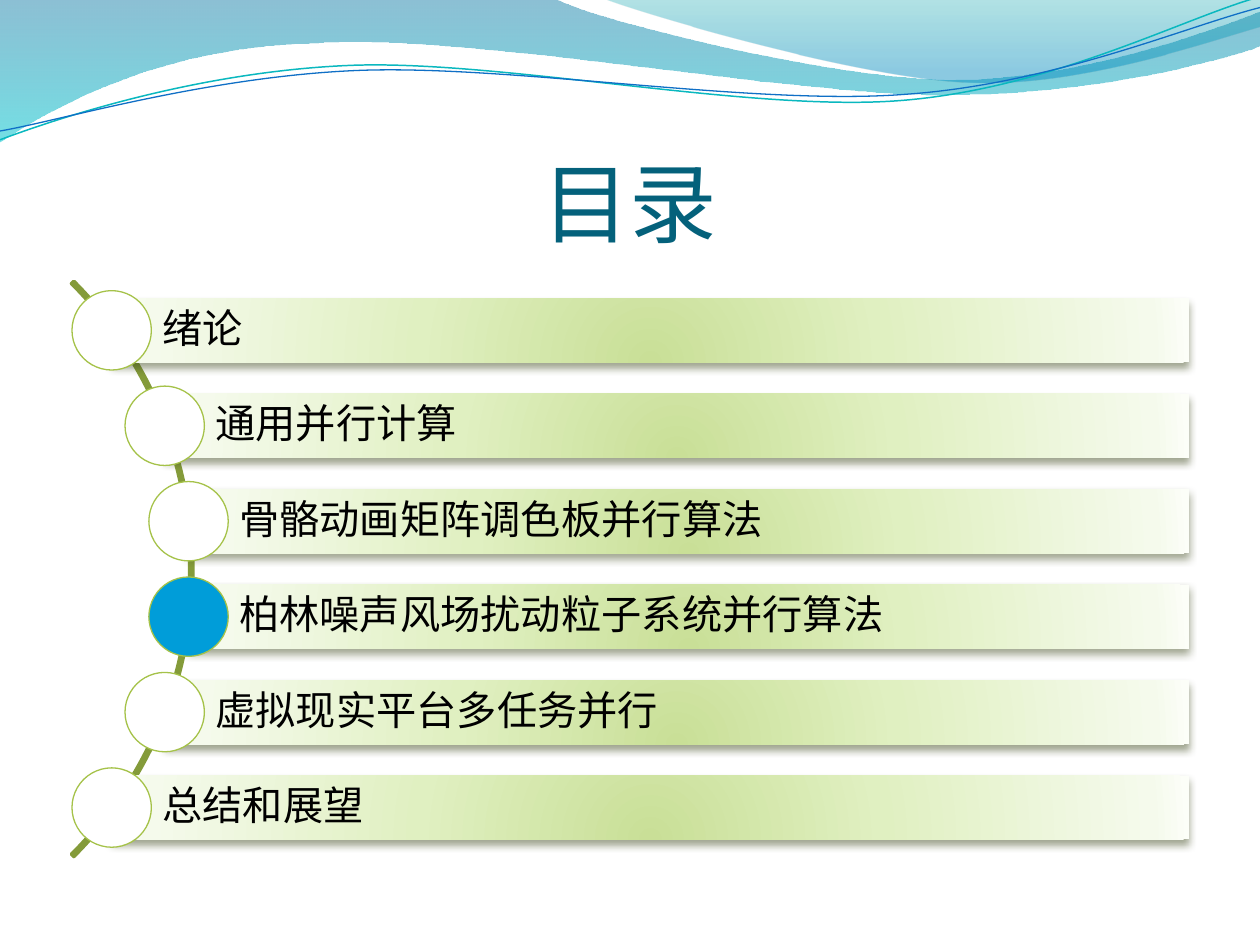
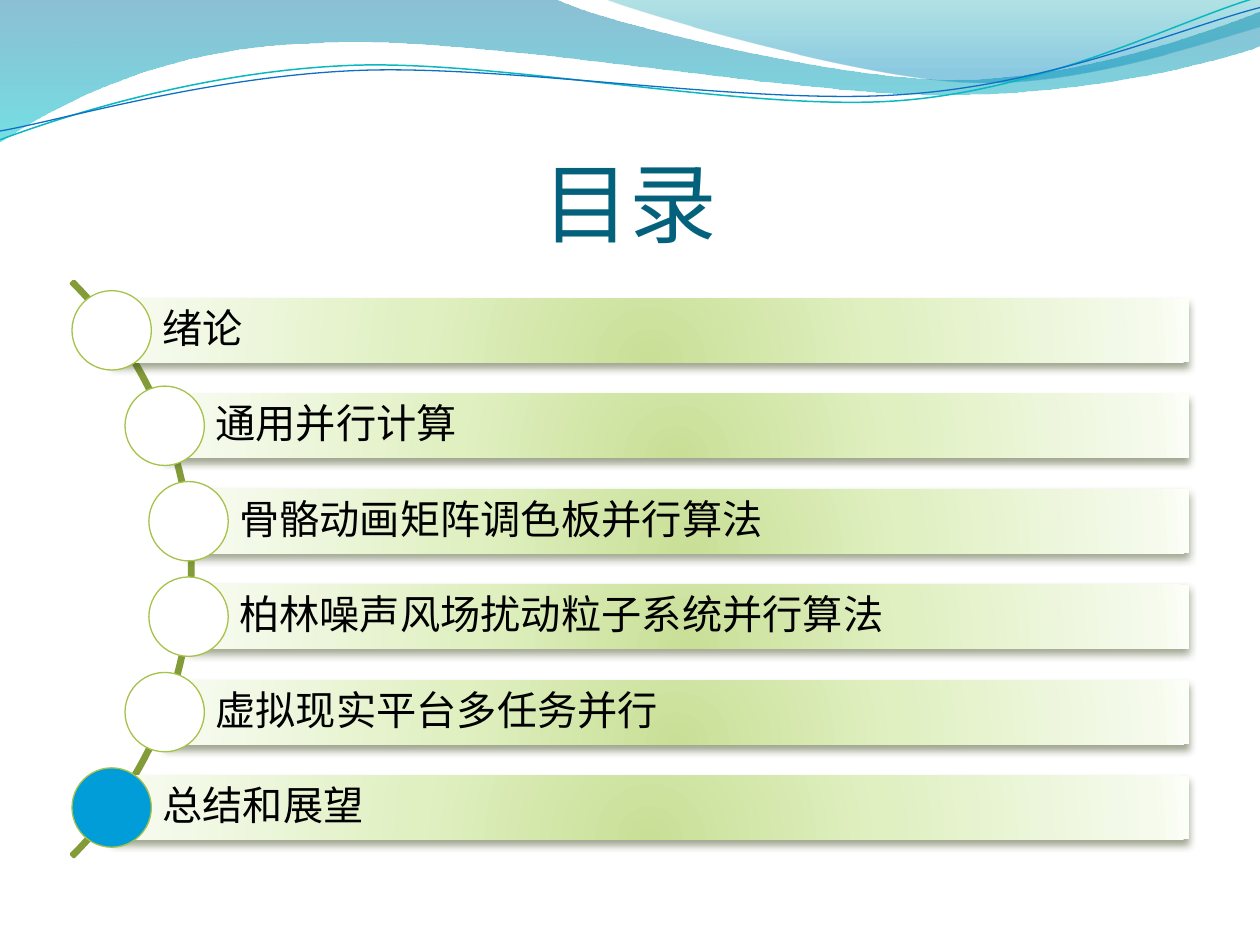
from math import sqrt

from lxml.etree import SubElement as Sub
from pptx import Presentation
from pptx.dml.color import RGBColor as RGB
from pptx.enum.shapes import MSO_SHAPE as SHAPE
from pptx.enum.text import MSO_ANCHOR as ANCHOR, PP_ALIGN as ALIGN
from pptx.oxml.ns import qn
from pptx.util import Cm, Pt

TEAL = RGB(0x04, 0x61, 0x7B)
BLACK = RGB(0, 0, 0)
WHITE = RGB(0xFF, 0xFF, 0xFF)
BLUE = RGB(0x00, 0x9D, 0xD9)
LIME = RGB(0xA5, 0xC2, 0x49)
OLIVE = RGB(0x84, 0x9B, 0x3A)
SHADE = RGB(0x3A, 0x45, 0x19)
CYAN = RGB(0x0A, 0xB8, 0xBF)
NAVY = RGB(0x0F, 0x6F, 0xC6)

# Gradient stops: position %, colour, opacity %
WASH = [(0, RGB(0x00, 0x74, 0xA1), 45), (100, RGB(0x00, 0xC6, 0xCF), 55)]
MIST = [(0, RGB(0x00, 0xA1, 0xA9), 30), (80, RGB(0x00, 0x8B, 0xBF), 45)]
GLOW = [(0, RGB(0xC9, 0xDF, 0x97), 100), (43, RGB(0xE0, 0xF0, 0xC1), 100),
        (93, RGB(0xF5, 0xFA, 0xEC), 100), (100, RGB(0xFC, 0xFE, 0xF8), 100)]

# Wave outlines in inches: a pair is a straight step, six numbers a Bézier
INCH = 2.54
BAND = [(0, 0), (4.4, -0.01), (4.76, 0.17, 6.64, 0.63, 7.58, 0.63),
        (8.53, 0.63, 9.58, 0.26, 10, 0.09), (10.01, 0.36),
        (9.83, 0.44, 8.7, 0.76, 7.46, 0.75),
        (6.22, 0.75, 3.82, 0.28, 2.57, 0.34),
        (1.29, 0.36, 0.46, 0.83, -0.01, 1.13)]
SWELL = [(4.79, -0.01), (5.09, 0.11, 6.82, 0.62, 7.69, 0.65),
         (8.56, 0.69, 9.61, 0.32, 10, 0.21), (10, 0)]
UPPER = [(0, 1.11), (0.48, 0.93, 1.58, 0.57, 2.77, 0.52),
         (3.95, 0.47, 5.93, 0.89, 7.13, 0.8),
         (8.33, 0.71, 9.38, 0.15, 9.98, -0.02)]
LOWER = [(0, 1.04), (0.47, 0.96, 1.64, 0.61, 2.83, 0.56),
         (4.03, 0.51, 5.97, 0.84, 7.17, 0.75),
         (8.36, 0.67, 9.41, 0.21, 10, 0.06)]

TOPICS = ["绪论", "通用并行计算", "骨骼动画矩阵调色板并行算法",
          "柏林噪声风场扰动粒子系统并行算法", "虚拟现实平台多任务并行", "总结和展望"]

# Agenda layout in cm: the dots sit on a circle, a little inside the arc
MID, ARC_X, ARC = 11.47, -4.31, 8.2
HUB, REACH, SPAN = -4.14, 8, 9.62
DOT, BAR, RIGHT = 1.6, 1.29, 23.97
PITCH = SPAN / (len(TOPICS) - 1)


def tint(parent, color, alpha):
    node = Sub(parent, qn("a:srgbClr"), val=str(color))
    if alpha < 100:
        Sub(node, qn("a:alpha"), val=str(alpha * 1000))


def blend(shape, stops, radial=False):
    """Fill a shape with a gradient, downward or radial."""
    shape.fill.background()
    props = shape.element.spPr
    grad = Sub(props, qn("a:gradFill"), rotWithShape="1")
    items = Sub(grad, qn("a:gsLst"))
    for pos, color, alpha in stops:
        tint(Sub(items, qn("a:gs"), pos=str(pos * 1000)), color, alpha)
    if radial:
        way = Sub(grad, qn("a:path"), path="circle")
        Sub(way, qn("a:fillToRect"), l="50000", t="130000", r="50000", b="-30000")
    else:
        Sub(grad, qn("a:lin"), ang="5400000", scaled="1")
    props.replace(props.find(qn("a:noFill")), grad)


def bend(shape, steps):
    """Join the straight parts of each six-number step into one curve."""
    parts = shape.element.spPr.iter(qn("a:lnTo"))
    lines = iter(list(parts))
    for step in steps[1:]:
        first = next(lines)
        if len(step) == 6:
            first.tag = qn("a:cubicBezTo")
            for _ in range(2):
                line = next(lines)
                first.append(line[0])
                line.getparent().remove(line)


class Deck:
    def __init__(self):
        self.prs = Presentation()
        self.prs.slide_width, self.prs.slide_height = Cm(25.4), Cm(19.05)
        self.slide = None

    def start(self, title):
        self.slide = self.prs.slides.add_slide(self.prs.slide_layouts[5])
        box = self.slide.shapes.title
        box.left, box.top, box.width, box.height = map(Cm, (1.27, 1.95, 22.86, 3.17))
        frame = box.text_frame
        frame.text = title
        frame.vertical_anchor = ANCHOR.BOTTOM
        frame.margin_left = frame.margin_right = frame.margin_bottom = 0
        para = frame.paragraphs[0]
        para.alignment = ALIGN.CENTER
        para.font.name, para.font.size = "Calibri", Pt(50)
        para.font.color.rgb = TEAL

    def shape(self, kind, x, y, w, h, fill=None, line=None, width=0.75):
        item = self.slide.shapes.add_shape(kind, Cm(x), Cm(y), Cm(w), Cm(h))
        self.paint(item, fill, line, width)
        return item

    def paint(self, item, fill, line, width):
        item.shadow.inherit = False
        if isinstance(fill, list):
            blend(item, fill)
        elif fill is None:
            item.fill.background()
        else:
            item.fill.solid()
            item.fill.fore_color.rgb = fill
        if line is None:
            item.line.fill.background()
        else:
            item.line.color.rgb, item.line.width = line, Pt(width)

    def wave(self, steps, fill=None, line=None, width=0.75):
        pts = [(Cm(step[i] * INCH), Cm(step[i + 1] * INCH))
               for step in steps for i in range(0, len(step), 2)]
        pen = self.slide.shapes.build_freeform(*pts[0], scale=1.0)
        pen.add_line_segments(pts[1:], close=fill is not None)
        item = pen.convert_to_shape()
        bend(item, steps)
        self.paint(item, fill, line, width)
        return item

    def waves(self):
        """Draw the header waves and move them to the slide master."""
        items = [self.wave(BAND, WASH), self.wave(SWELL, MIST),
                 self.wave(UPPER, line=CYAN, width=0.85),
                 self.wave(LOWER, line=NAVY)]
        tree = self.prs.slide_master.shapes.element
        for i, item in enumerate(items):
            item.element.nvSpPr.cNvPr.set("id", str(20 + i))
            tree.insert(2 + i, item.element)

    def bar(self, text, x, mid):
        item = self.shape(SHAPE.RECTANGLE, x, mid - BAR / 2, RIGHT - x, BAR)
        blend(item, GLOW, radial=True)
        glow = item.element.spPr.find(qn("a:effectLst"))
        drop = Sub(glow, qn("a:outerShdw"), blurRad=str(Pt(4.5)),
                   dist=str(Pt(3)), dir="5400000", rotWithShape="0")
        tint(drop, SHADE, 48)
        frame = item.text_frame
        frame.text = text
        frame.word_wrap = True
        frame.vertical_anchor = ANCHOR.MIDDLE
        frame.margin_left = Cm(1.02)
        frame.margin_top = frame.margin_right = frame.margin_bottom = Cm(0.15)
        para = frame.paragraphs[0]
        para.alignment, para.line_spacing = ALIGN.LEFT, 0.9
        para.font.name, para.font.size = "TeX Gyre Pagella", Pt(23)
        para.font.color.rgb = BLACK

    def agenda(self, active):
        """Draw the arc and the topics, with the active topic's dot in blue."""
        self.start("目录")
        arc = self.shape(SHAPE.BLOCK_ARC, ARC_X - ARC, MID - ARC, 2 * ARC, 2 * ARC,
                         line=OLIVE, width=2)
        for i, value in enumerate((189, 27, 0.004)):
            arc.adjustments[i] = value
        for i, topic in enumerate(TOPICS):
            rise = i * PITCH - SPAN / 2
            x, y = HUB + sqrt(REACH ** 2 - rise ** 2), MID + rise
            self.bar(topic, x, y)
            self.shape(SHAPE.OVAL, x - DOT / 2, y - DOT / 2, DOT, DOT,
                       BLUE if i == active else WHITE, LIME)


def main():
    deck = Deck()
    deck.agenda(3)
    deck.waves()
    deck.agenda(5)
    deck.prs.save("out.pptx")


if __name__ == "__main__":
    main()
